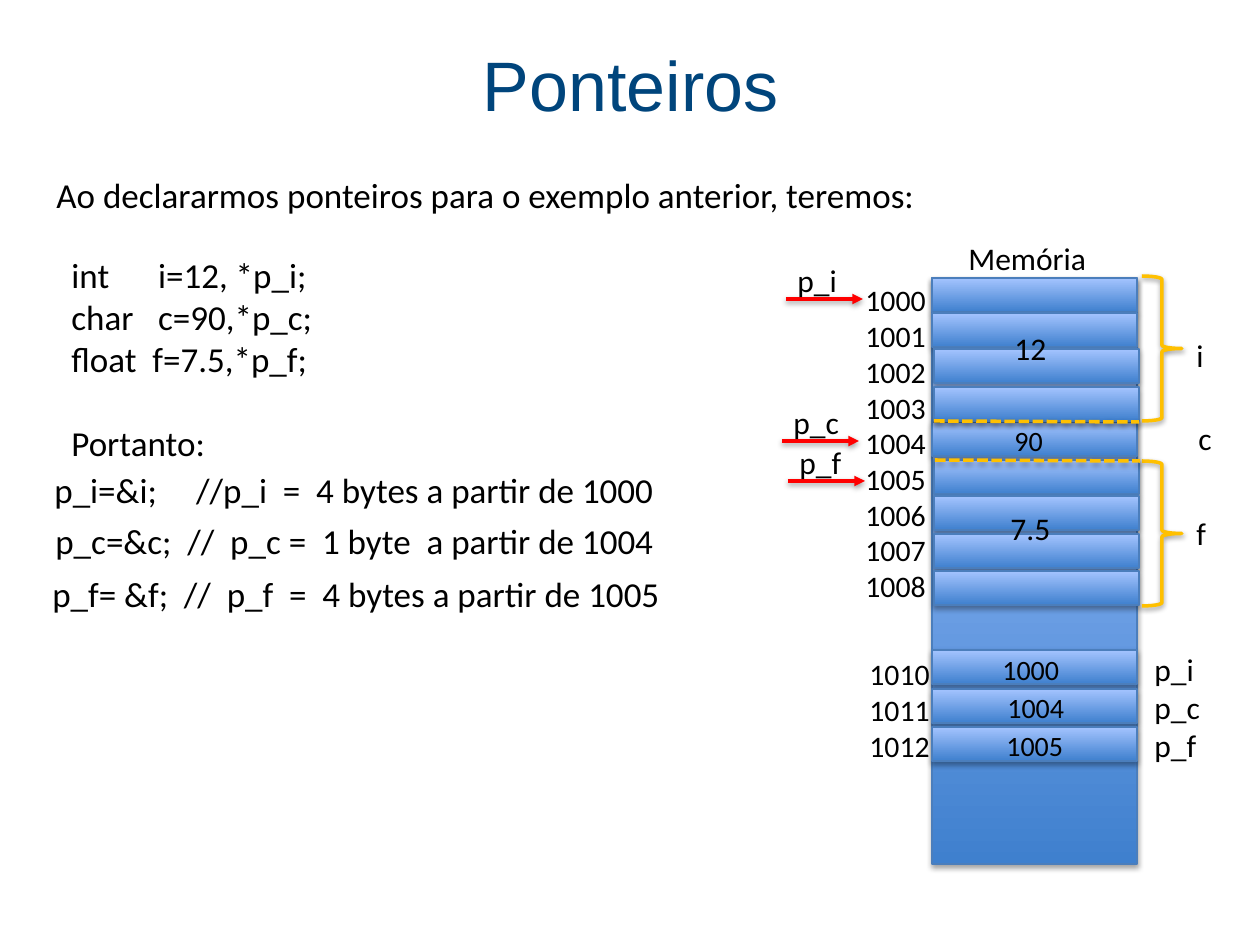
import pptx
import pptx.util
from lxml import etree
from pptx.dml.color import RGBColor
from pptx.enum.dml import MSO_LINE
from pptx.enum.shapes import MSO_CONNECTOR, MSO_SHAPE
from pptx.enum.text import MSO_ANCHOR, MSO_AUTO_SIZE, PP_ALIGN
from pptx.oxml.ns import qn

EMU_PER_PX = 914400 / 126
BLACK, NAVY, AMBER, RED = "000000", "00457C", "FFC000", "FF0000"
CELL_DARK, CELL_LIGHT, CELL_EDGE = "3F80CE", "A4C4FF", "4B7EBC"
CELL_WIDTH, CELL_HEIGHT = 205, 34
TAB_STEP = 63


def px(length):
    return pptx.util.Emu(round(length * EMU_PER_PX))


def color(value):
    return RGBColor.from_string(value)


def add_shadow(shape, opacity, distance):
    effects = etree.SubElement(shape._element.spPr, qn("a:effectLst"))
    shadow = etree.SubElement(effects, qn("a:outerShdw"), blurRad="40000",
                              dist=str(distance), dir="5400000", rotWithShape="0")
    shade = etree.SubElement(shadow, qn("a:srgbClr"), val=BLACK)
    etree.SubElement(shade, qn("a:alpha"), val=str(opacity * 1000))


def style_line(shape, line_color, width):
    shape.line.color.rgb = color(line_color)
    shape.line.width = pptx.util.Pt(width)


def add_text(page, lines, left, top, width, height, size=18, font="Calibri",
             text_color=BLACK, grow=True):
    box = page.shapes.add_textbox(px(left), px(top), px(width), px(height))
    frame = box.text_frame
    frame.word_wrap = True
    frame.auto_size = MSO_AUTO_SIZE.SHAPE_TO_FIT_TEXT if grow else MSO_AUTO_SIZE.NONE
    frame.text = "\n".join(lines)
    for para in frame.paragraphs:
        if "\t" in para.text:
            tabs = etree.SubElement(para._p.get_or_add_pPr(), qn("a:tabLst"))
            for stop in (1, 2):
                etree.SubElement(tabs, qn("a:tab"), pos=str(px(stop * TAB_STEP)), algn="l")
        para.font.size = pptx.util.Pt(size)
        para.font.name = font
        para.font.color.rgb = color(text_color)
    return frame


def add_cell(page, left, top, height=CELL_HEIGHT):
    cell = page.shapes.add_shape(MSO_SHAPE.RECTANGLE, px(left), px(top),
                                 px(CELL_WIDTH), px(height))
    cell.fill.gradient()
    cell.fill.gradient_angle = 90
    for stop, shade in zip(cell.fill.gradient_stops, (CELL_DARK, CELL_LIGHT)):
        stop.color.rgb = color(shade)
    style_line(cell, CELL_EDGE, 0.75)
    add_shadow(cell, 35, 23000)


def add_brace(page, top):
    brace = page.shapes.add_shape(MSO_SHAPE.RIGHT_BRACE, px(1142), px(top), px(40), px(145))
    brace.fill.background()
    style_line(brace, AMBER, 2)
    add_shadow(brace, 38, 20000)


def add_line(page, start, end, line_color, dashed=False, arrow=False):
    line = page.shapes.add_connector(MSO_CONNECTOR.STRAIGHT,
                                     *(px(value) for value in (*start, *end)))
    style_line(line, line_color, 2)
    if dashed:
        line.line.dash_style = MSO_LINE.SQUARE_DOT
    if arrow:
        etree.SubElement(line.line._get_or_add_ln(), qn("a:tailEnd"), type="triangle")
    add_shadow(line, 38, 20000)


def add_pointer(page, name, left, top):
    add_line(page, (left, top), (left + 77, top), RED, arrow=True)
    add_text(page, [name], left - 1, top - 44, 76, 50)


def main():
    deck = pptx.Presentation()
    deck.slide_width, deck.slide_height = px(1260), px(945)
    page = deck.slides.add_slide(deck.slide_layouts[6])

    # Title and introduction
    title = add_text(page, ["Ponteiros"], 44, 4, 1173, 158, 40, "Arial", NAVY, grow=False)
    title.vertical_anchor = MSO_ANCHOR.MIDDLE
    title.paragraphs[0].alignment = PP_ALIGN.CENTER
    intro = add_text(page, ["Ao declararmos ponteiros para o exemplo anterior, teremos:"],
                     44, 146, 1134, 717, 20, grow=False)
    intro.paragraphs[0].line_spacing = 1.5

    # Declarations and assignments
    code = add_text(page, ["int\t   i=12, *p_i;", "char\t   c=90,*p_c;",
                           "float  f=7.5,*p_f;", "Portanto:"], 59, 247, 638, 263, 20)
    code.paragraphs[-1].space_before = pptx.util.Pt(24)
    for text, left, top in (
            ("p_i=&i;\t  //p_i  =  4 bytes a partir de 1000", 42, 462),
            ("p_c=&c;  //  p_c =  1 byte  a partir de 1004", 43, 513),
            ("p_f= &f;  //  p_f  =  4 bytes a partir de 1005", 40, 566)):
        add_text(page, [text], left, top, 645, 55, 20)

    # Memory column with its cells
    add_text(page, ["Memória"], 956, 233, 241, 50)
    add_cell(page, 932, 278, 586)
    for left, tops in ((932, (278, 313, 422, 650, 689, 727)),
                       (934, (349, 387, 460, 496, 534, 571))):
        for top in tops:
            add_cell(page, left, top)

    # Addresses
    add_text(page, [str(address) for address in range(1000, 1009)], 853, 276, 120, 344, 17)
    add_text(page, [str(address) for address in range(1010, 1013)], 857, 650, 120, 121, 17)

    # Extent of each variable
    for top in (276, 461):
        add_brace(page, top)
    for left, top in ((934, 421), (935, 460)):
        add_line(page, (left, top), (left + CELL_WIDTH, top + 1), AMBER, dashed=True)
    for name, left, top in (("i", 1184, 330), ("c", 1186, 413), ("f", 1184, 508)):
        add_text(page, [name], left, top, 74, 50)
    add_text(page, ["p_i", "p_c", "p_f"], 1142, 644, 116, 127)

    # Stored values
    for value, left, top, size in (
            ("12", 1002, 323, 18), ("90", 1002, 417, 16), ("7.5", 998, 503, 18),
            ("1000", 990, 646, 16), ("1004", 995, 684, 16), ("1005", 994, 722, 16)):
        add_text(page, [value], left, top, 93, 47, size)

    # Pointers to the first byte of each variable
    for name, left, top in (("p_i", 786, 299), ("p_c", 782, 441), ("p_f", 788, 481)):
        add_pointer(page, name, left, top)

    deck.save("out.pptx")


if __name__ == "__main__":
    main()
